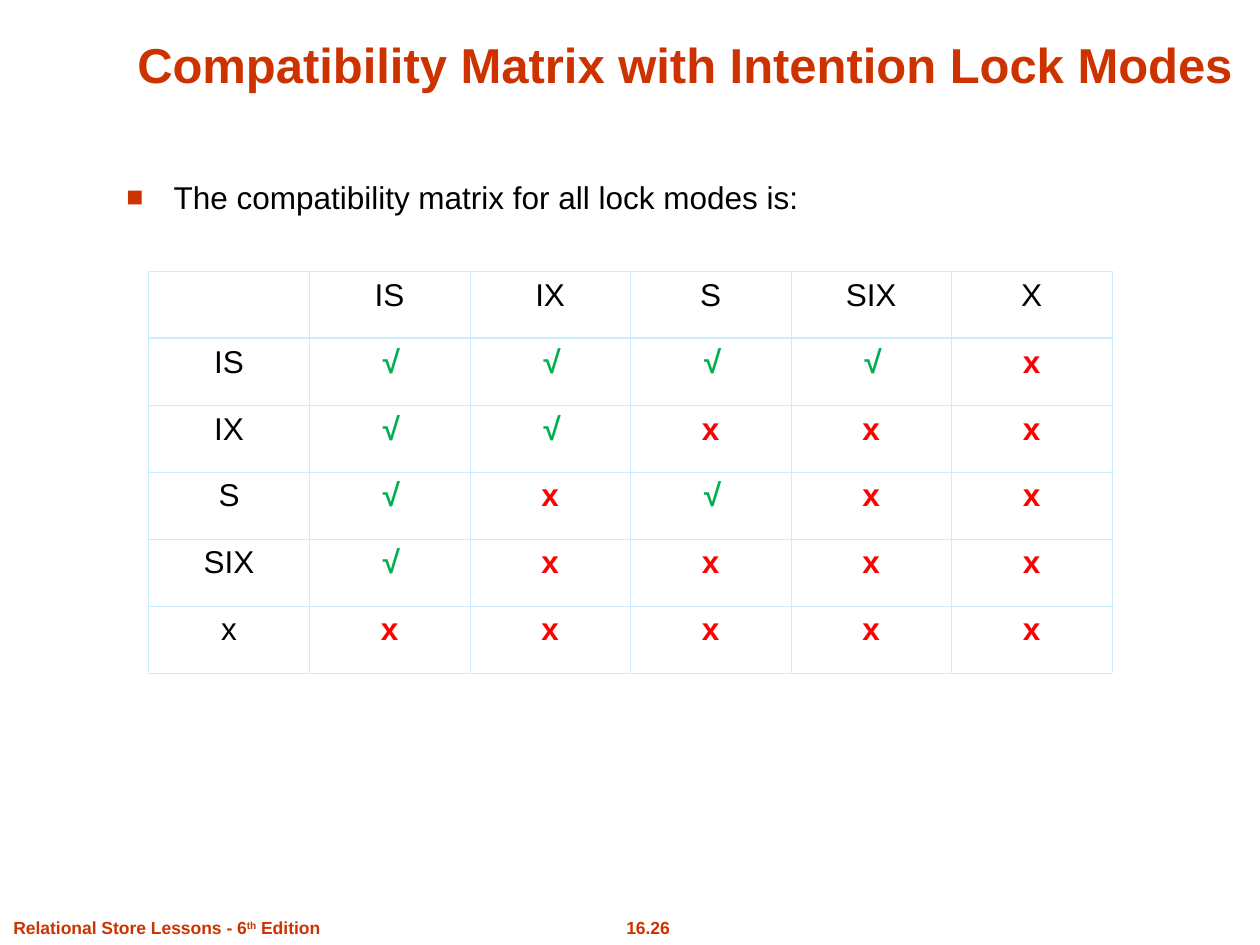
"""Build a slide showing the compatibility matrix of intention lock modes."""
import pptx
import pptx.dml.color
import pptx.enum.text
import pptx.oxml
import pptx.oxml.ns
import pptx.util

Cm = pptx.util.Cm
Pt = pptx.util.Pt
ALIGN = pptx.enum.text.PP_ALIGN
ANCHOR = pptx.enum.text.MSO_ANCHOR

ACCENT, BLACK, WHITE = "CC3300", "000000", "FFFFFF"
GREEN, RED, GRID = "00B050", "FF0000", "CCECFF"
THIN, THICK = 0.45, 1.5

MODES = ["IS", "IX", "S", "SIX", "X"]
MATRIX = [
    ["", *MODES],
    ["IS", "√", "√", "√", "√", "x"],
    ["IX", "√", "√", "x", "x", "x"],
    ["S", "√", "x", "√", "x", "x"],
    ["SIX", "√", "x", "x", "x", "x"],
    ["x", "x", "x", "x", "x", "x"],
]


def rgb(color):
    return pptx.dml.color.RGBColor.from_string(color)


def xml(markup):
    head, tail = markup.split(" ", 1)
    return pptx.oxml.parse_xml(f"{head} {pptx.oxml.ns.nsdecls('a')} {tail}")


def style(p, size, color, bold=False, italic=False, align=ALIGN.LEFT):
    p.alignment = align
    p.font.name = "Arial"
    p.font.size = Pt(size)
    p.font.bold = bold
    p.font.italic = italic
    p.font.color.rgb = rgb(color)


def add_text(s, box, runs, size, color, bold=False, align=ALIGN.LEFT,
             anchor=ANCHOR.TOP):
    tf = s.shapes.add_textbox(*map(Cm, box)).text_frame
    tf.word_wrap = True
    tf.vertical_anchor = anchor
    p = tf.paragraphs[0]
    for text in runs:
        p.add_run().text = text
    style(p, size, color, bold, align=align)
    return p


def add_bullet(p, char, color, percent, indent):
    pPr = p._p.get_or_add_pPr()
    pPr.set("marL", str(indent))
    pPr.set("indent", str(-indent))
    font = pPr.find(pptx.oxml.ns.qn("a:defRPr"))
    for markup in (
        f'<a:buClr ><a:srgbClr val="{color}"/></a:buClr>',
        f'<a:buSzPct val="{percent * 1000}"/>',
        '<a:buFont typeface="Arial"/>',
        f'<a:buChar char="{char}"/>',
    ):
        font.addprevious(xml(markup))


def set_borders(cell, **widths):
    tcPr = cell._tc.get_or_add_tcPr()
    for i, side in enumerate("LRTB"):
        width = Pt(widths.get(side, THIN))
        tcPr.insert(i, xml(
            f'<a:ln{side} w="{width}"><a:solidFill><a:srgbClr val="{GRID}"/>'
            f'</a:solidFill></a:ln{side}>'))


def fill_cell(cell, text, is_mark):
    cell.fill.solid()
    cell.fill.fore_color.rgb = rgb(WHITE)
    p = cell.text_frame.paragraphs[0]
    if text:
        p.add_run().text = text
    color = {"√": GREEN, "x": RED}[text] if is_mark else BLACK
    style(p, 18, color, is_mark, text == "√", ALIGN.CENTER)


def add_matrix(s, left, top, width, height):
    n_rows, n_cols = len(MATRIX), len(MATRIX[0])
    table = s.shapes.add_table(
        n_rows, n_cols, Cm(left), Cm(top), Cm(width), Cm(height)).table
    table.horz_banding = False
    for col in table.columns:
        col.width = Cm(width / n_cols)
    for i, (row, texts) in enumerate(zip(table.rows, MATRIX)):
        row.height = Cm(height / n_rows)
        for j, text in enumerate(texts):
            cell = table.cell(i, j)
            fill_cell(cell, text, i > 0 and j > 0)
            set_borders(cell, T=THICK if i == 1 else THIN,
                        B=THICK if i == 0 else THIN)


def main():
    prs = pptx.Presentation()
    prs.slide_width, prs.slide_height = Cm(25.4), Cm(19.05)
    s = prs.slides.add_slide(prs.slide_layouts[6])

    add_text(s, (11.72, 18.37, 2.69, 0.68), ["16.26"], 10, ACCENT, True,
             ALIGN.CENTER)
    p = add_text(s, (0.02, 18.37, 7.6, 0.68),
                 ["Relational Store Lessons - 6", "th", " Edition"],
                 10, ACCENT, True)
    p.runs[1]._r.get_or_add_rPr().set("baseline", "30000")

    add_text(s, (2.14, 0.3, 23.34, 1.7),
             ["Compatibility Matrix with Intention Lock Modes"],
             28, ACCENT, True, ALIGN.CENTER, ANCHOR.BOTTOM)
    p = add_text(s, (2.3, 3.46, 21.79, 12.27),
                 ["The compatibility matrix for all lock modes is:"], 18, BLACK)
    p.space_before = Pt(7.9)
    add_bullet(p, "■", ACCENT, 90, Cm(0.95))

    add_matrix(s, 3, 5.47, 19.42, 8.1)
    prs.save("out.pptx")


if __name__ == "__main__":
    main()
